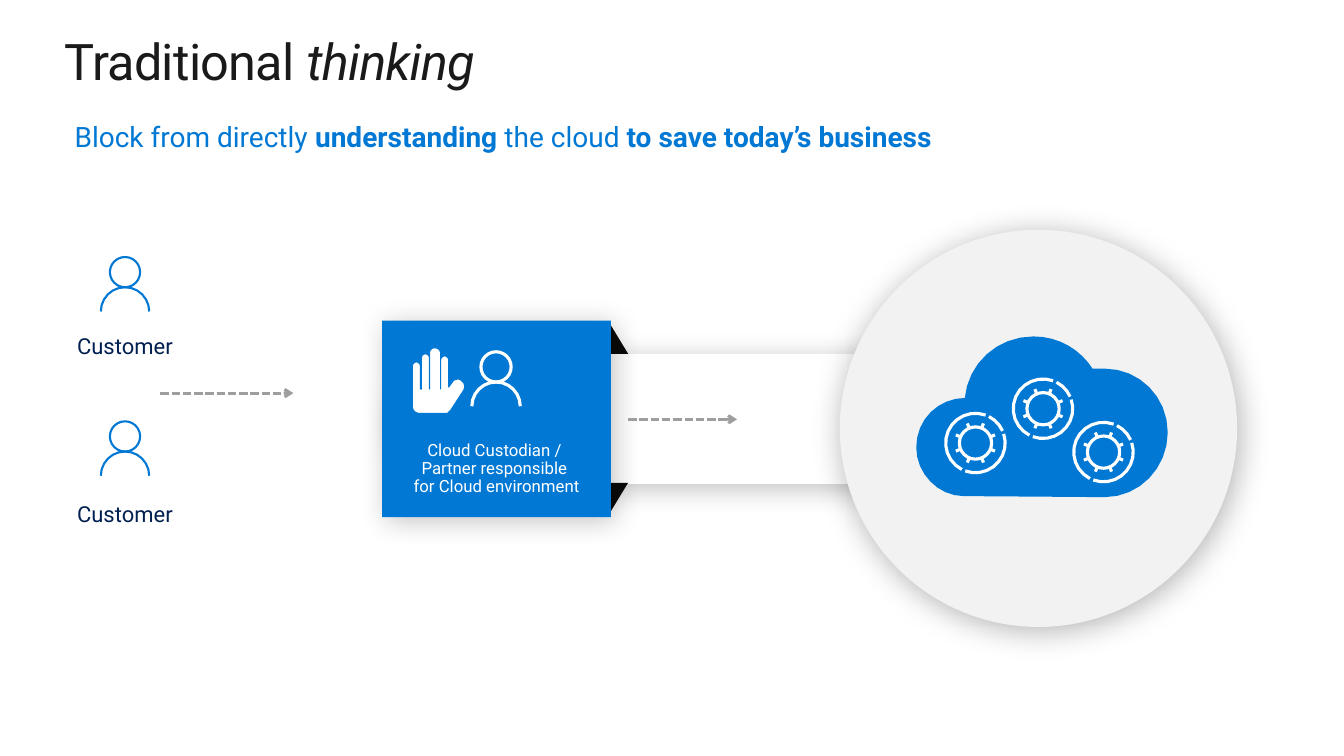
import math

import pptx
import pptx.dml.color
import pptx.enum.dml
import pptx.enum.shapes
import pptx.enum.text
import pptx.oxml
import pptx.oxml.ns
import pptx.util

# Grid: every length is a count of columns or rows
COLUMNS, ROWS = 1333, 750
UNIT = pptx.util.Inches(13.33) / COLUMNS

COLORS = {"blue": "0078D4", "navy": "002050", "ink": "1A1A1A", "black": "0A0A0A",
          "grey": "9E9E9E", "pale": "F2F2F2", "white": "FFFFFF", "shadow": "000000"}
SHAPES = pptx.enum.shapes.MSO_SHAPE
LEFT, CENTER = pptx.enum.text.PP_ALIGN.LEFT, pptx.enum.text.PP_ALIGN.CENTER
TOP, MIDDLE = pptx.enum.text.MSO_ANCHOR.TOP, pptx.enum.text.MSO_ANCHOR.MIDDLE

# Content: runs are (text, font extras); None is a line break
TITLE = [[("Traditional ", {}), ("thinking", {"italic": True})]]
SUBTITLE = [[("Block from directly ", {}), ("understanding", {"bold": True}),
             (" the cloud ", {}), ("to save today’s business", {"bold": True})]]
CUSTODIAN = [[("Cloud Custodian / ", {})],
             [("Partner responsible ", {}), None, ("for Cloud environment", {})]]
CUSTOMER = [[("Customer", {})]]

# Text: box, paragraphs, size, colour, alignment, anchor, line spacing, letter spacing
TEXTS = [
    ((64, 30, 1205, 61), TITLE, 36, "ink", LEFT, TOP, 1.0, -50),
    ((74, 119, 1206, 34), SUBTITLE, 20, "blue", LEFT, TOP, 1.0, 0),
    ((379, 438, 227, 55), CUSTODIAN, 12, "white", CENTER, MIDDLE, 0.9, 0),
    ((34, 333, 180, 24), CUSTOMER, 15.7, "navy", CENTER, MIDDLE, 0.9, 0),
    ((34, 499, 180, 24), CUSTOMER, 15.7, "navy", CENTER, MIDDLE, 0.9, 0),
]
# Shadow: opacity %, blur, distance (points), angle
SOFT, DEEP = (24, 20, 4, 45), (30, 23, 3, 60)
# Panels: preset, box, fill, shadow, flipped
PANELS = [
    (SHAPES.ROUNDED_RECTANGLE, (385, 351, 700, 129), "white", SOFT, False),
    (SHAPES.RIGHT_TRIANGLE, (603, 318, 20, 33), "black", None, False),
    (SHAPES.RIGHT_TRIANGLE, (603, 479, 20, 33), "black", None, True),
    (SHAPES.RECTANGLE, (379, 318, 227, 195), "blue", SOFT, False),
    (SHAPES.OVAL, (833, 228, 394, 394), "pale", DEEP, False),
]
ARROWS = [(623, 731, 416), (159, 291, 390)]  # start, end, row
# People: centre column, top row, line colour, line width
PEOPLE = [(124, 255, "blue", 1.5), (124, 418, "blue", 1.5), (492, 349, "white", 2.25)]
GEARS = [(967.5, 439.5), (1034.5, 405.5), (1094.5, 448.5)]
GEAR_ARCS = [(-70, -243), (110, -18), (-24, -63)]

# Outlines: a pair is a straight step, six numbers are a Bézier step
CLOUD = [(956, 491), (1096, 492), (1129, 492, 1157, 464, 1157, 429),
         (1157, 394, 1129, 367, 1096, 367), (1091, 367, 1087, 367, 1083, 367),
         (1071, 348, 1050, 335, 1025, 335), (990, 335, 961, 361, 958, 396),
         (931, 396, 910, 417, 910, 444), (910, 469, 931, 491, 956, 491)]
HAND = [(431, 345), (434, 345, 437, 347, 437, 350), (437, 386), (437, 357),
        (437, 355, 439, 353, 441, 353), (443, 353, 445, 355, 445, 357), (445, 384),
        (448, 380), (449, 377, 452, 376, 455, 376), (457, 377),
        (461, 379, 462, 384, 460, 387), (447, 407), (444, 410), (415, 410),
        (412, 410, 409, 407, 409, 404), (409, 363), (409, 361, 411, 359, 413, 359),
        (415, 359, 417, 361, 417, 363), (417, 386), (418, 386), (418, 355),
        (418, 353, 419, 351, 422, 351), (424, 351, 426, 353, 426, 355), (426, 386),
        (426, 350), (426, 347, 428, 345, 431, 345)]

presentation = pptx.Presentation()
presentation.slide_width, presentation.slide_height = (round(n * UNIT) for n in (COLUMNS, ROWS))
slide = presentation.slides.add_slide(presentation.slide_layouts[6])


def place(*lengths):
    return [round(length * UNIT) for length in lengths]


def color(name):
    return pptx.dml.color.RGBColor.from_string(COLORS[name])


def paint(shape, fill=None, line=None, width=0):
    shape.shadow.inherit = False
    for part, name in ((shape.fill, fill), (shape.line.fill, line)):
        if name:
            part.solid()
            part.fore_color.rgb = color(name)
        else:
            part.background()
    if line:
        shape.line.width = pptx.util.Pt(width)


def cast_shadow(shape, opacity, blur, distance, angle):
    effects = shape._element.spPr.find(pptx.oxml.ns.qn("a:effectLst"))
    effects.append(pptx.oxml.parse_xml(
        f'<a:outerShdw {pptx.oxml.ns.nsdecls("a")} blurRad="{pptx.util.Pt(blur)}" '
        f'dist="{pptx.util.Pt(distance)}" dir="{angle * 60000}" algn="tl" rotWithShape="0">'
        f'<a:srgbClr val="{COLORS["shadow"]}"><a:alpha val="{opacity * 1000}"/>'
        f'</a:srgbClr></a:outerShdw>'))


def polar(x, y, radius, angle):
    return x + radius * math.cos(math.radians(angle)), y + radius * math.sin(math.radians(angle))


def arc(x, y, radius, start, end):
    steps = math.ceil(abs(end - start) / 15)
    return [polar(x, y, radius, start + (end - start) * i / steps) for i in range(steps + 1)]


def trace(outline, steps):
    points = []
    for step in outline:
        if len(step) == 2:
            points.append(step)
            continue
        corners = [points[-1], step[:2], step[2:4], step[4:]]
        for t in (i / steps for i in range(1, steps + 1)):
            weights = [math.comb(3, k) * t ** k * (1 - t) ** (3 - k) for k in range(4)]
            points.append(tuple(sum(w * corner[axis] for w, corner in zip(weights, corners))
                                for axis in (0, 1)))
    return points


def draw(contours, **look):
    builder = slide.shapes.build_freeform(*place(*contours[0][0]), scale=1.0)
    for number, contour in enumerate(contours):
        points = [place(*point) for point in contour]
        if number:
            builder.move_to(*points[0])
        builder.add_line_segments(points[1:], close=math.dist(points[0], points[-1]) < UNIT)
    paint(builder.convert_to_shape(), **look)


def ring(x, y, radius, **look):
    box = place(x - radius, y - radius, 2 * radius, 2 * radius)
    paint(slide.shapes.add_shape(SHAPES.OVAL, *box), **look)


def write(box, paragraphs, size, name, align, anchor, leading, tracking):
    frame = slide.shapes.add_textbox(*place(*box)).text_frame
    layout = {"word_wrap": True, "vertical_anchor": anchor, "margin_left": 0,
              "margin_right": 0, "margin_top": 0, "margin_bottom": 0}
    for key, value in layout.items():
        setattr(frame, key, value)
    for number, runs in enumerate(paragraphs):
        paragraph = frame.add_paragraph() if number else frame.paragraphs[0]
        paragraph.alignment, paragraph.line_spacing = align, leading
        for item in runs:
            if item is None:
                paragraph.add_line_break()
                continue
            run = paragraph.add_run()
            run.text, extras = item
            look = {"name": "Roboto", "size": pptx.util.Pt(size), **extras}
            for key, value in look.items():
                setattr(run.font, key, value)
            run.font.color.rgb = color(name)
            if tracking:
                run._r.get_or_add_rPr().set("spc", str(tracking))


# Panels
for preset, box, fill, shadow, flipped in PANELS:
    panel = slide.shapes.add_shape(preset, *place(*box))
    paint(panel, fill)
    if preset == SHAPES.ROUNDED_RECTANGLE:
        panel.adjustments[0] = 0.5
    if shadow:
        cast_shadow(panel, *shadow)
    if flipped:
        panel._element.spPr.xfrm.set("flipV", "1")

# Dashed arrows
for start, end, row in ARROWS:
    arrow = slide.shapes.add_connector(pptx.enum.shapes.MSO_CONNECTOR.STRAIGHT,
                                       *place(start, row, end, row))
    arrow.line.color.rgb = color("grey")
    arrow.line.width = pptx.util.Pt(2)
    arrow.line.dash_style = pptx.enum.dml.MSO_LINE.SQUARE_DOT
    for parent, tag, kind in ((arrow.line._get_or_add_ln(), "tailEnd", 'type="arrow"'),
                              (arrow._element.spPr, "effectLst", "")):
        parent.append(pptx.oxml.parse_xml(f'<a:{tag} {pptx.oxml.ns.nsdecls("a")} {kind}/>'))

# Icons
draw([trace(HAND, 3)], fill="white", line="blue", width=0.75)
draw([trace(CLOUD, 8)], fill="blue", line="blue", width=1.75)
for x, top, name, width in PEOPLE:
    ring(x, top + 15, 15, line=name, width=width)
    draw([arc(x, top + 54, 24, 0, -180)], line=name, width=width)
for x, y in GEARS:
    rims = [arc(x, y, 29.5, *span) for span in GEAR_ARCS]
    teeth = [[polar(x, y, radius, 22.5 + 45 * k) for radius in (21, 16.5)] for k in range(8)]
    ring(x, y, 16, line="white", width=2.25)
    draw(rims + teeth, line="white", width=2.25)

# Text
for text in TEXTS:
    write(*text)

presentation.save("out.pptx")
